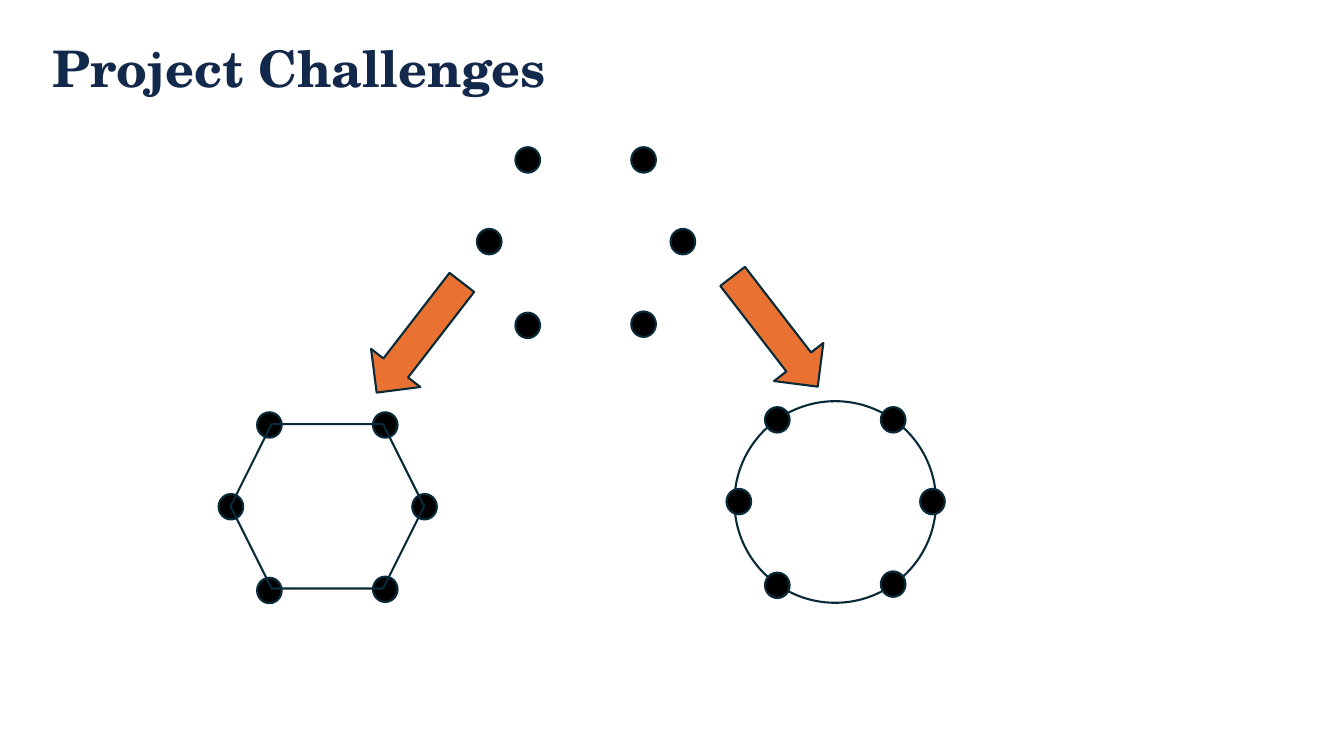
from dataclasses import dataclass

from pptx import Presentation
from pptx.dml.color import RGBColor
from pptx.enum import shapes, text
from pptx.util import Cm, Pt

KIND = shapes.MSO_SHAPE


@dataclass(frozen=True)
class Theme:
    """Colours, font and sizes of the slide."""
    title: str = "13294B"
    line: str = "092A39"
    dot: str = "000000"
    arrow: str = "E97132"
    font: str = "TeX Gyre Schola"
    size: float = 36
    width: float = 1.5


THEME = Theme()
DOTS = [(0.97, 0), (3.89, 0), (4.88, 2.06), (3.89, 4.14), (0, 2.06), (0.97, 4.17)]


def draw(slide, kind, box, fill=None, turn=0):
    """Add an outlined shape in a box given in centimetres."""
    shape = slide.shapes.add_shape(kind, *map(Cm, box))
    shape.shadow.inherit = False
    shape.rotation = turn
    if fill:
        shape.fill.solid()
        shape.fill.fore_color.rgb = RGBColor.from_string(fill)
    else:
        shape.fill.background()
    shape.line.color.rgb = RGBColor.from_string(THEME.line)
    shape.line.width = Pt(THEME.width)


def add_title(slide, box, words):
    """Write the slide title."""
    frame = slide.shapes.add_textbox(*map(Cm, box)).text_frame
    frame.word_wrap = True
    frame.vertical_anchor = text.MSO_ANCHOR.MIDDLE
    run = frame.paragraphs[0].add_run()
    run.text = words
    run.font.name = THEME.font
    run.font.size = Pt(THEME.size)
    run.font.bold = True
    run.font.color.rgb = RGBColor.from_string(THEME.title)


def add_dots(slide, left, top):
    """Place the six points from a top left corner."""
    for x, y in DOTS:
        draw(slide, KIND.OVAL, (left + x, top + y, 0.62, 0.64), THEME.dot)


def add_hexagon(slide, left, top):
    """Join the points by a hexagon."""
    add_dots(slide, left, top)
    draw(slide, KIND.HEXAGON, (left + 0.3, top + 0.3, 4.88, 4.14))


def add_ring(slide, left, top):
    """Join the points by a circle."""
    draw(slide, KIND.OVAL, (left + 0.2, top - 0.15, 5.08, 5.08))
    add_dots(slide, left, top)


def add_arrow(slide, left, top, turn):
    """Add a turned block arrow."""
    draw(slide, KIND.RIGHT_ARROW, (left, top, 3.51, 1.57), THEME.arrow, turn)


def main():
    """Build and save the slide."""
    deck = Presentation()
    deck.slide_width, deck.slide_height = Cm(33.87), Cm(19.05)
    slide = deck.slides.add_slide(deck.slide_layouts[6])
    add_title(slide, (1.07, 0.76, 26.7, 1.9), "Project Challenges")
    add_hexagon(slide, 5.51, 10.39)
    add_ring(slide, 18.31, 10.26)
    add_dots(slide, 12.02, 3.71)
    add_arrow(slide, 17.78, 7.57, 52.3)
    add_arrow(slide, 8.81, 7.72, 127.7)
    deck.save("out.pptx")


if __name__ == "__main__":
    main()
